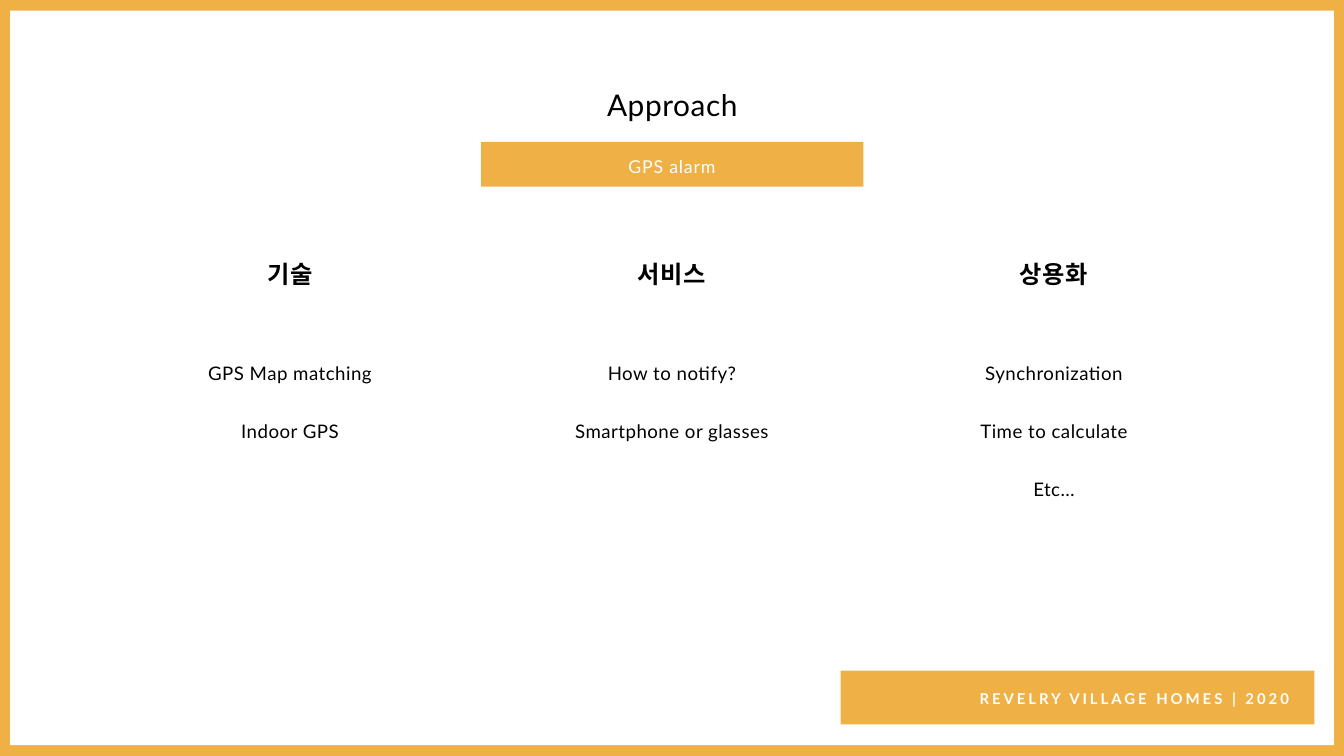
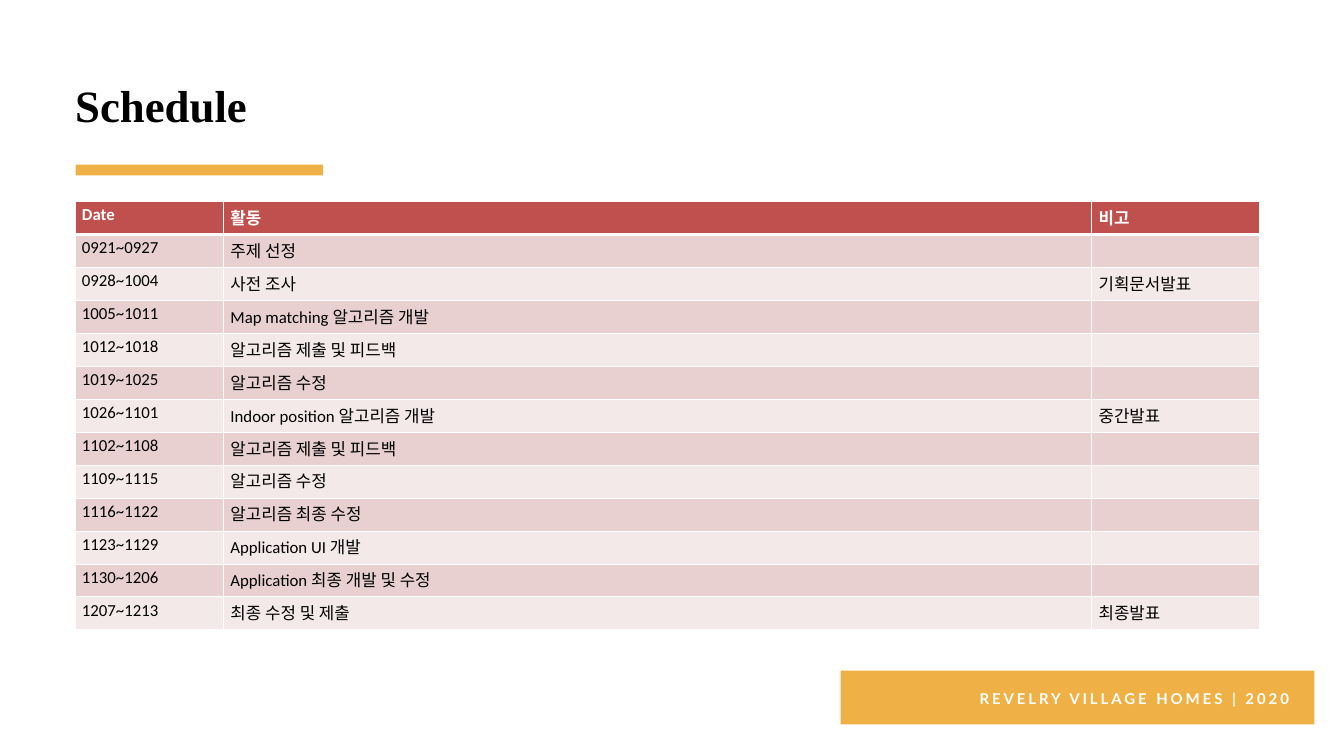
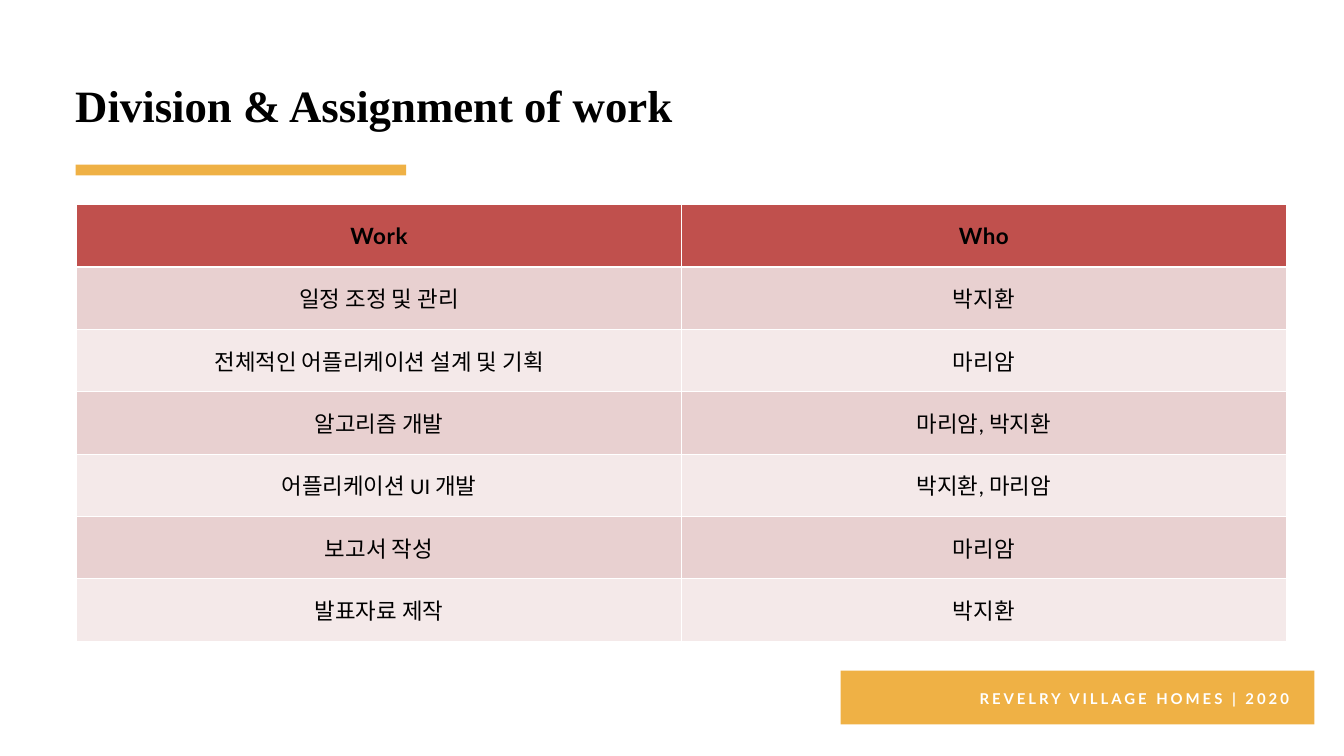
from lxml.etree import SubElement
from pptx import Presentation
from pptx.dml.color import RGBColor
from pptx.enum.shapes import MSO_SHAPE
from pptx.enum.text import MSO_ANCHOR, MSO_AUTO_SIZE, PP_ALIGN
from pptx.oxml.ns import qn
from pptx.util import Pt

GOLD, WHITE, BLACK = "EFB145", "FFFFFF", "000000"
HEADER_RED, BANDS = "C0504D", ("F4E9E9", "E8D0D0")
FLUSH = {
    "margin_left": 0, "margin_top": 0, "margin_right": 0, "margin_bottom": 0,
    "word_wrap": True, "auto_size": MSO_AUTO_SIZE.NONE, "vertical_anchor": MSO_ANCHOR.TOP,
}


def write(frame, lines, size, color, name="Lato", bold=False, tracking=0,
          align=PP_ALIGN.LEFT, leading=None, gap=0, layout=FLUSH):
    for attribute, value in layout.items():
        setattr(frame, attribute, value)
    for number, line in enumerate(lines):
        paragraph = frame.add_paragraph() if number else frame.paragraphs[0]
        spacing = {"alignment": align, "line_spacing": leading and Pt(leading),
                   "space_before": Pt(gap if number else 0)}
        for attribute, value in spacing.items():
            setattr(paragraph, attribute, value)
        run = paragraph.add_run()
        run.text = line
        for attribute, value in {"name": name, "size": Pt(size), "bold": bold}.items():
            setattr(run.font, attribute, value)
        run.font.color.rgb = RGBColor.from_string(color)
        run.font._element.set("spc", str(round(tracking * 100)))


def block(slide, box, color):
    shape = slide.shapes.add_shape(MSO_SHAPE.RECTANGLE, *map(Pt, box))
    shape.shadow.inherit = False
    shape.fill.solid()
    shape.fill.fore_color.rgb = RGBColor.from_string(color)
    shape.line.fill.background()
    return shape


deck = Presentation()
deck.slide_width, deck.slide_height = Pt(1440), Pt(810)
title_only = deck.slide_layouts[5]

CENTERED_TITLE = {"size": 32, "color": BLACK, "tracking": 0.6,
                  "align": PP_ALIGN.CENTER, "leading": 44.8}
SERIF_TITLE = {"size": 48, "color": BLACK, "name": "Times New Roman",
               "bold": True, "leading": 62.4}
pages = [
    ("Approach", (351.4, 86.4, 738, 41.8), CENTERED_TITLE, GOLD),
    ("Schedule", (80.6, 78.5, 735.8, 60.5), SERIF_TITLE, WHITE),
    ("Division & Assignment of work", (80.6, 78.5, 982.8, 122.4), SERIF_TITLE, WHITE),
]
for heading, box, look, backdrop in pages:
    slide = deck.slides.add_slide(title_only)
    slide.background.fill.solid()
    slide.background.fill.fore_color.rgb = RGBColor.from_string(backdrop)
    title = slide.shapes.title
    for side, length in zip(("left", "top", "width", "height"), box):
        setattr(title, side, Pt(length))
    write(title.text_frame, [heading], **look)
approach, schedule, division = deck.slides

panel = block(approach, (10.8, 11.4, 1418.4, 787), WHITE)
approach.shapes.element.insert(2, panel.element)
block(approach, (515.5, 152, 409.6, 48.1), GOLD)
subtitle = approach.shapes.add_textbox(*map(Pt, (543.6, 162.7, 352.8, 24.5)))
write(subtitle.text_frame, ["GPS alarm"], 19, WHITE, tracking=0.9,
      align=PP_ALIGN.CENTER, leading=26.6)

LINE = 31.2
topics = [
    ("기술", ["GPS Map matching", "Indoor GPS"]),
    ("서비스", ["How to notify?", "Smartphone or glasses"]),
    ("상용화", ["Synchronization", "Time to calculate", "Etc…"]),
]
for column, (topic, points) in enumerate(topics):
    left = 113.8 + 409.3 * column
    topic_look = {"color": BLACK, "tracking": 0.5, "align": PP_ALIGN.CENTER, "leading": LINE}
    topic_box = approach.shapes.add_textbox(Pt(left), Pt(277.2), Pt(393.8), Pt(LINE))
    write(topic_box.text_frame, [topic], 26, bold=True, **topic_look)
    points_height = LINE * (2 * len(points) - 1)
    points_box = approach.shapes.add_textbox(Pt(left), Pt(380.2), Pt(393.8), Pt(points_height))
    write(points_box.text_frame, points, 20, gap=LINE, **topic_look)

for slide in deck.slides:
    block(slide, (900.7, 718.5, 507.6, 57.6), GOLD)
    footer = slide.shapes.add_textbox(*map(Pt, (946.8, 735.1, 434.9, 20.9)))
    write(footer.text_frame, ["REVELRY VILLAGE HOMES | 2020"], 16, WHITE, bold=True,
          tracking=3.2, align=PP_ALIGN.RIGHT, leading=22.4)

for slide, underline_width in ((schedule, 265), (division, 354.2)):
    block(slide, (81, 176.4, underline_width, 11.5), GOLD)

weeks = [
    ("Date", "활동", "비고"),
    ("0921~0927", "주제 선정", ""),
    ("0928~1004", "사전 조사", "기획문서발표"),
    ("1005~1011", "Map matching 알고리즘 개발", ""),
    ("1012~1018", "알고리즘 제출 및 피드백", ""),
    ("1019~1025", "알고리즘 수정", ""),
    ("1026~1101", "Indoor position 알고리즘 개발", "중간발표"),
    ("1102~1108", "알고리즘 제출 및 피드백", ""),
    ("1109~1115", "알고리즘 수정", ""),
    ("1116~1122", "알고리즘 최종 수정", ""),
    ("1123~1129", "Application UI 개발", ""),
    ("1130~1206", "Application 최종 개발 및 수정", ""),
    ("1207~1213", "최종 수정 및 제출", "최종발표"),
]
duties = [
    ("Work", "Who"),
    ("일정 조정 및 관리", "박지환"),
    ("전체적인 어플리케이션 설계 및 기획", "마리암"),
    ("알고리즘 개발", "마리암, 박지환"),
    ("어플리케이션 UI 개발", "박지환, 마리암"),
    ("보고서 작성", "마리암"),
    ("발표자료 제작", "박지환"),
]
tables = [
    (schedule, weeks, (80.6, 216), (159.1, 930.2, 180), 35.3, MSO_ANCHOR.TOP,
     {"size": 18, "align": PP_ALIGN.LEFT},
     {"color": WHITE, "name": "Calibri"}),
    (division, duties, (82.1, 219.2), (648, 648), 66.8, MSO_ANCHOR.MIDDLE,
     {"size": 24, "align": PP_ALIGN.CENTER},
     {"color": BLACK, "name": "Lato", "tracking": 0.6}),
]
for slide, entries, corner, widths, row_height, anchor, look, header_look in tables:
    extent = (sum(widths), row_height * len(entries))
    grid = slide.shapes.add_table(len(entries), len(widths), *map(Pt, corner + extent)).table
    for column, width in zip(grid.columns, widths):
        column.width = Pt(width)
    for number, entry in enumerate(entries):
        grid.rows[number].height = Pt(row_height)
        is_header = number == 0
        row_look = header_look if is_header else {"color": BLACK, "name": "Calibri"}
        for cell, text in zip(grid.rows[number].cells, entry):
            cell.vertical_anchor = anchor
            properties = cell._tc.get_or_add_tcPr()
            for edge in ("lnL", "lnR", "lnT", "lnB"):
                thick = (number, edge) in ((0, "lnB"), (1, "lnT"))
                border = SubElement(properties, qn(f"a:{edge}"), w=str(Pt(3 if thick else 1)))
                SubElement(SubElement(border, qn("a:solidFill")), qn("a:srgbClr"), val=WHITE)
            cell.fill.solid()
            cell.fill.fore_color.rgb = RGBColor.from_string(
                HEADER_RED if is_header else BANDS[number % 2])
            if text:
                write(cell.text_frame, [text], bold=is_header, layout={}, **look, **row_look)

deck.save("out.pptx")
